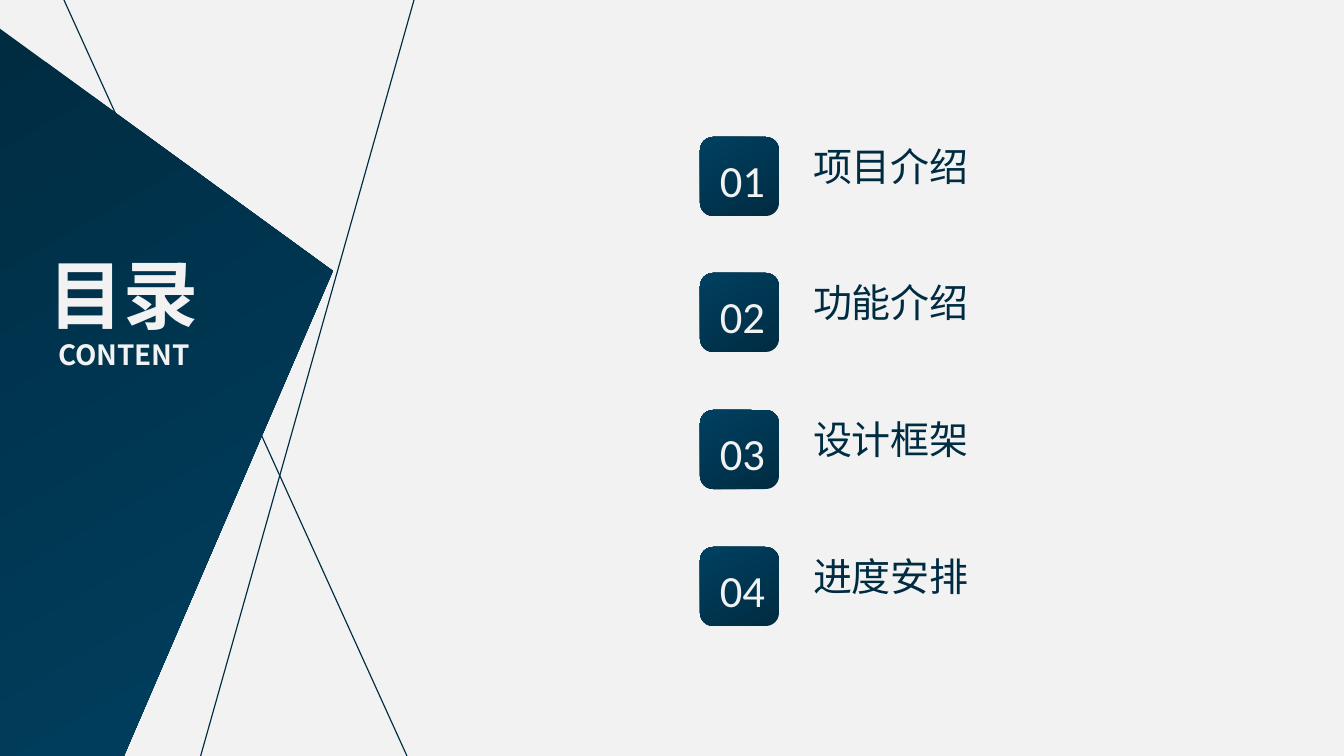
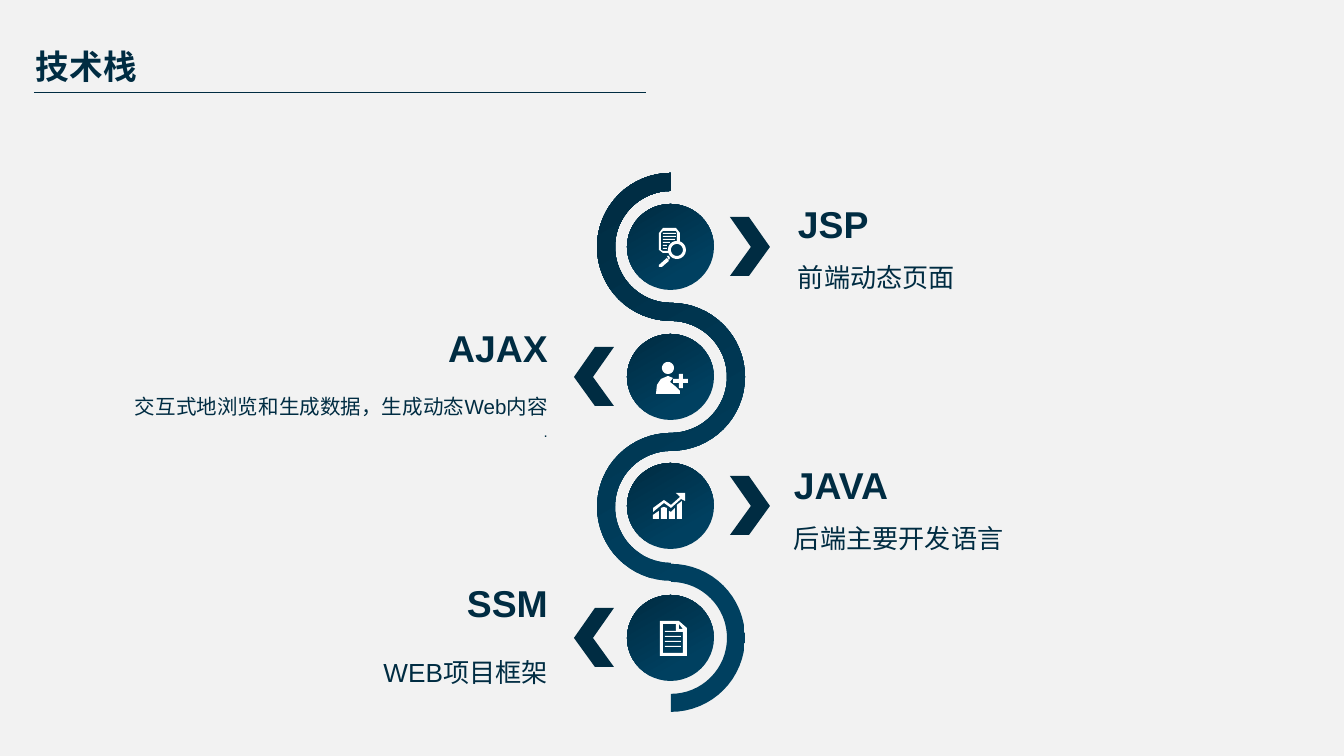
from math import cos, radians, sin

from lxml.etree import SubElement
from pptx import Presentation
from pptx.dml.color import RGBColor
from pptx.enum.shapes import MSO_CONNECTOR, MSO_SHAPE
from pptx.enum.text import MSO_ANCHOR, MSO_AUTO_SIZE, PP_ALIGN
from pptx.oxml.ns import qn
from pptx.util import Pt

PX = 914400 / 134.4
NAVY = RGBColor(0x00, 0x2C, 0x42)
BLUE = RGBColor(0x00, 0x40, 0x60)
PALE = RGBColor(0xF2, 0xF2, 0xF2)
WHITE = RGBColor(0xFF, 0xFF, 0xFF)
CJK = "Noto Sans CJK SC"

# Gradients: stops as (position, colour), then a counterclockwise angle
BADGE = ([(0, NAVY), (1, BLUE)], 120)
PANEL = ([(0, NAVY), (1, BLUE)], 300)
SPINE = ([(0.25, BLUE), (1, NAVY)], 120)

MENU = ["项目介绍", "功能介绍", "设计框架", "进度安排"]

# Text left, text top, text height, centre y, side, lines (text, size, spacing)
STACK = [
    (798, 192, 95, 247, 1, [("JSP", 20, 1.2), ("前端动态页面", 14, 1.5)]),
    (114, 316, 124, 377, -1, [("AJAX", 20, 1.2),
                              ("交互式地浏览和生成数据，生成动态Web内容", 11, 2.0),
                              (".", 8, 1.2)]),
    (794, 453, 95, 506, 1, [("JAVA", 20, 1.2), ("后端主要开发语言", 14, 1.5)]),
    (114, 571, 108, 638, -1, [("SSM", 20, 1.2), ("WEB项目框架", 14, 2.0)]),
]


def emu(*vals):
    return [round(v * PX) for v in vals]


def put(obj, fmt):
    for key, val in fmt.items():
        setattr(obj, key, val)


def paint(shape, fill):
    """Fill with one colour or a gradient, without line or shadow."""
    shape.shadow.inherit = False
    shape.line.fill.background()
    if isinstance(fill, RGBColor):
        shape.fill.solid()
        shape.fill.fore_color.rgb = fill
        return
    stops, angle = fill
    shape.fill.gradient()
    shape.fill.gradient_angle = angle
    for stop, (pos, color) in zip(shape.fill.gradient_stops, stops):
        stop.position = pos
        stop.color.rgb = color


def preset(slide, kind, box, fill):
    shape = slide.shapes.add_shape(kind, *emu(*box))
    paint(shape, fill)


def outline(slide, fill, *loops):
    """Draw one closed outline per loop of px points, as one shape."""
    first, *rest = [[emu(*point) for point in loop] for loop in loops]
    form = slide.shapes.build_freeform(*first[0], scale=1.0)
    form.add_line_segments(first[1:], close=True)
    for loop in rest:
        form.move_to(*loop[0])
        form.add_line_segments(loop[1:], close=True)
    paint(form.convert_to_shape(), fill)


def rule(slide, ends, width):
    line = slide.shapes.add_connector(MSO_CONNECTOR.STRAIGHT, *emu(*ends))
    line.line.color.rgb = NAVY
    line.line.width = Pt(width)
    SubElement(line.element.spPr, qn("a:effectLst"))


def write(shape, lines, color=NAVY, align=PP_ALIGN.LEFT, pad=(13, 7, 13, 7), wrap=True):
    """Fill a text shape; each line is (text, size, spacing, font, bold)."""
    frame = shape.text_frame
    sides = ("margin_left", "margin_top", "margin_right", "margin_bottom")
    put(frame, dict(zip(sides, emu(*pad))))
    put(frame, {"word_wrap": wrap, "auto_size": MSO_AUTO_SIZE.NONE,
                "vertical_anchor": MSO_ANCHOR.TOP})
    for i, (text, size, gap, face, bold) in enumerate(lines):
        para = frame.add_paragraph() if i else frame.paragraphs[0]
        put(para, {"alignment": align, "line_spacing": gap})
        run = para.add_run()
        run.text = text
        put(run.font, {"size": Pt(size), "name": face, "bold": bold})
        run.font.color.rgb = color
        SubElement(run._r.get_or_add_rPr(), qn("a:ea"), typeface=CJK)


def label(slide, box, lines, **fmt):
    write(slide.shapes.add_textbox(*emu(*box)), lines, **fmt)


def title(slide, box, lines, **fmt):
    shape = slide.shapes.title
    put(shape, dict(zip(("left", "top", "width", "height"), emu(*box))))
    write(shape, lines, **fmt)
    shape.element.getparent().append(shape.element)


def arc(x, y, r, start=0, end=360, steps=32):
    turns = [radians(start + (end - start) * i / steps) for i in range(steps + 1)]
    return [(x + r * cos(t), y + r * sin(t)) for t in turns]


def bar(x, y, w, h=1):
    return [(x, y), (x + w, y), (x + w, y + h), (x, y + h)]


def spine(slide):
    """Wind a ribbon down the slide in four half rings."""
    down, back = [], []
    for i in range(4):
        y = 247 + i * 391 // 3
        end, outer, inner = (90, 56, 74) if i % 2 else (-270, 74, 56)
        down += arc(671, y, outer, -90, end)
        back += arc(671, y, inner, -90, end)
    outline(slide, SPINE, down + back[::-1])


def arrow(slide, y, side):
    half = [(58, -30), (79, 0), (58, 29), (77, 29), (98, 0), (77, -30)]
    outline(slide, NAVY, [(672 + side * dx, y + dy) for dx, dy in half])


def search(slide):
    outline(slide, WHITE, *[bar(663, 233 + 3 * i, w)
                            for i, w in enumerate((13, 13, 12, 7, 4, 4))])
    outline(slide, WHITE, arc(677, 250, 9), arc(677, 250, 6))
    outline(slide, WHITE, [(667, 256), (669, 256), (670, 258), (669, 260)],
            [(659, 265), (659, 267), (662, 267), (669, 261), (667, 258)])
    outline(slide, WHITE, [
        (669, 251), (663, 251), (661, 250), (661, 233), (663, 231), (676, 231),
        (677, 233), (677, 242), (680, 242), (680, 233), (676, 228), (663, 228),
        (659, 233), (659, 250), (663, 253), (669, 253)])


def user(slide):
    outline(slide, WHITE, [
        (679, 374), (683, 374), (683, 379), (688, 379), (688, 383), (683, 383),
        (683, 388), (679, 388), (679, 383), (673, 383), (673, 379), (679, 379)])
    outline(slide, WHITE, arc(668, 368, 6), [
        (680, 394), (656, 394), (657, 385), (661, 379), (668, 376), (673, 378),
        (670, 382), (675, 386), (680, 391)])


def growth(slide):
    tops = [[(653, 515), (659, 511)], [(661, 508), (664, 507), (667, 508)],
            [(669, 511), (671, 512), (675, 508)], [(677, 505), (682, 501)]]
    outline(slide, WHITE, *[top + [(top[-1][0], 519), (top[0][0], 519)] for top in tops])
    outline(slide, WHITE, [
        (685, 493), (676, 493), (680, 497), (671, 505), (664, 500), (653, 508),
        (653, 512), (664, 503), (671, 508), (681, 499), (685, 501)])


def paper(slide):
    outline(slide, WHITE,
            [(687, 628), (679, 621), (660, 621), (660, 656), (687, 656)],
            [(683, 629), (679, 629), (679, 624)],
            [(683, 653), (663, 653), (663, 624), (676, 624), (676, 632), (683, 632)])
    for i in range(4):
        preset(slide, MSO_SHAPE.RECTANGLE, (665, 631 + 5 * i, 16, 1), WHITE)


def agenda(slide):
    rule(slide, (414, 0, 199, 762), 0.63)
    rule(slide, (407, 756, 64, 0), 0.63)
    outline(slide, PANEL, [(124, 756), (-1, 756), (-1, 28), (333, 271)])
    title(slide, (28, 241, 192, 138),
          [("目录", 40.2, 1.0, CJK, True), ("CONTENT", 14.9, 1.0, CJK, True)],
          color=PALE, align=PP_ALIGN.CENTER)
    for i, text in enumerate(MENU):
        y = 137 + i * 410 // 3
        preset(slide, MSO_SHAPE.ROUNDED_RECTANGLE, (700, y, 79, 79), BADGE)
        label(slide, (707, y + 9, 73, 67), [(f"{i + 1:02}", 23.9, 1.0, "Calibri", False)],
              color=PALE, wrap=False)
        label(slide, (800, y - 1, 317, 60), [(text, 20.9, 1.0, CJK, False)])


def tools(slide):
    title(slide, (36, 39, 353, 54), [("技术栈", 18, 1.0, CJK, True)], pad=(0, 7, 13, 7))
    rule(slide, (34, 93, 646, 93), 0.5)
    spine(slide)
    for (x, top, high, y, side, lines), icon in zip(STACK, (search, user, growth, paper)):
        preset(slide, MSO_SHAPE.OVAL, (627, y - 43, 87, 86), SPINE)
        arrow(slide, y, side)
        icon(slide)
        label(slide, (x, top, 434, high),
              [(*line, "Arial", i == 0) for i, line in enumerate(lines)],
              align=PP_ALIGN.LEFT if side > 0 else PP_ALIGN.RIGHT, pad=(0, 0, 0, 0))


def main():
    deck = Presentation()
    put(deck, dict(zip(("slide_width", "slide_height"), emu(1344, 756))))
    back = deck.slide_master.background.fill
    back.solid()
    back.fore_color.rgb = PALE
    for build in (agenda, tools):
        build(deck.slides.add_slide(deck.slide_layouts[5]))
    deck.save("out.pptx")


if __name__ == "__main__":
    main()
